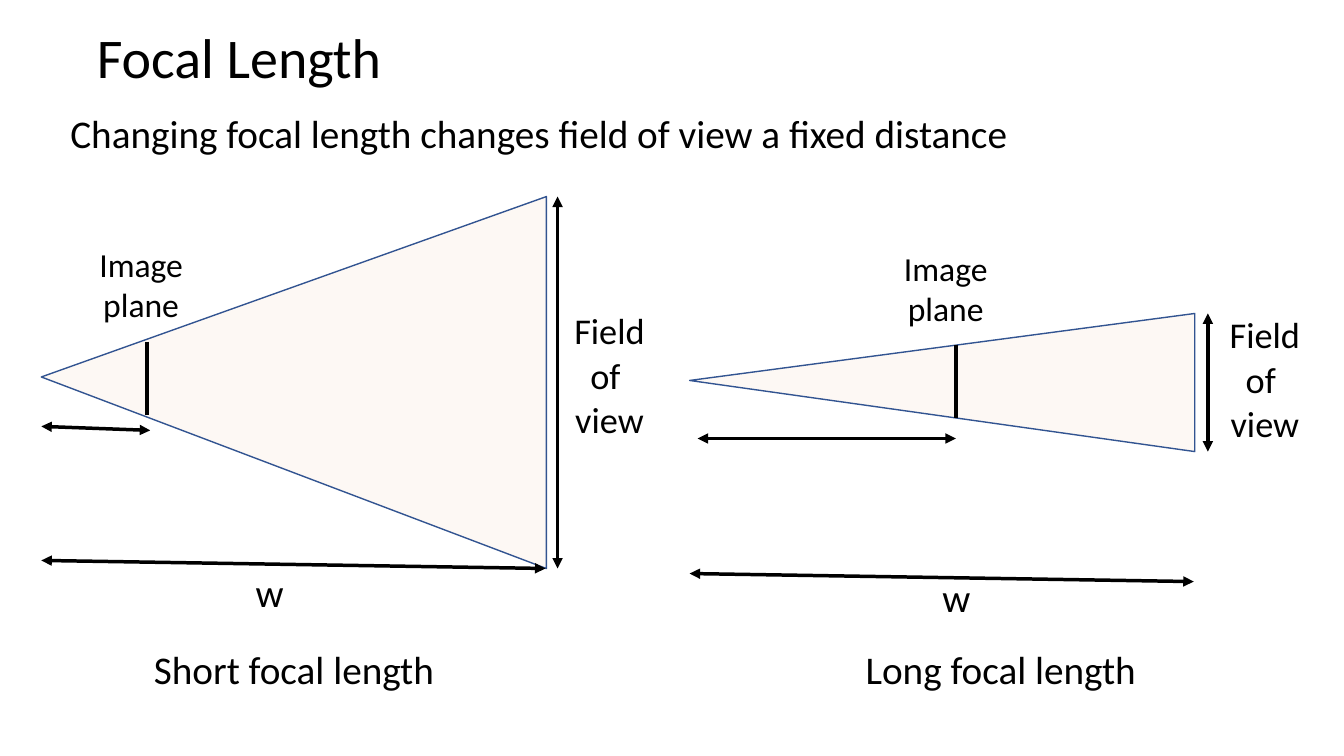
"""Build a slide comparing the field of view of short and long focal lengths."""
from collections import namedtuple

from lxml import etree
from pptx import Presentation
from pptx import util as u
from pptx.dml.color import RGBColor
from pptx.enum import shapes, text
from pptx.oxml import ns

PX = 9144
BLACK = RGBColor(0x00, 0x00, 0x00)
PEACH = RGBColor(0xFB, 0xE5, 0xD6)
BLUE = RGBColor(0x32, 0x54, 0x91)
FONT = "Calibri"
CONE_LENGTH = 501
CONE_MIDDLE = 380
PLANE_HEIGHT = 73

View = namedtuple(
    "View", "caption caption_at left height plane plane_label focal fov_x fov_label distance_y w_label")

VIEWS = [
    View("Short focal length", (77, 641), 41, 369, (146, 339), (86, 237),
         (41, 423, 149, 427), 553, (559, 313), 556, (230, 564)),
    View("Long focal length", (778, 641), 684, 137, (948, 342), (884, 241),
         (692, 435, 948, 435), 1198, (1209, 317), 569, (911, 569)),
]


def px(*lengths):
    """Turn px lengths into EMU."""
    return [u.Emu(length * PX) for length in lengths]


def format_text(frame, size, align, line_spacing, space_before=10):
    """Apply one font and spacing to all paragraphs of a text frame."""
    for index, paragraph in enumerate(frame.paragraphs):
        paragraph.alignment = align
        paragraph.line_spacing = line_spacing
        paragraph.space_before = u.Pt(space_before if index else 0)
        for run in paragraph.runs:
            run.font.name = FONT
            run.font.size = u.Pt(size)
            run.font.color.rgb = BLACK


def add_label(slide, words, at, size, width, height, align=text.PP_ALIGN.CENTER, line_spacing=0.9):
    """Add a wrapped text box."""
    frame = slide.shapes.add_textbox(*px(*at, width, height)).text_frame
    frame.word_wrap = True
    frame.text = words
    format_text(frame, size, align, line_spacing)


def add_line(slide, x1, y1, x2, y2, arrows=True):
    """Add a black line, with arrowheads at both ends if wanted."""
    connector = slide.shapes.add_connector(shapes.MSO_CONNECTOR.STRAIGHT, *px(x1, y1, x2, y2))
    connector.line.color.rgb = BLACK
    connector.line.width = u.Pt(2.5)
    properties = connector._element.spPr
    if arrows:
        outline = connector.line._get_or_add_ln()
        for end in ("a:headEnd", "a:tailEnd"):
            etree.SubElement(outline, ns.qn(end), type="triangle")
    etree.SubElement(properties, ns.qn("a:effectLst"))


def add_cone(slide, left, height):
    """Add a translucent triangle that opens to the right."""
    box_left = left + (CONE_LENGTH - height) // 2
    box_top = CONE_MIDDLE - CONE_LENGTH // 2 - 1
    cone = slide.shapes.add_shape(
        shapes.MSO_SHAPE.ISOSCELES_TRIANGLE, *px(box_left, box_top, height, CONE_LENGTH))
    cone.rotation = 270
    cone.adjustments[0] = 0.515
    cone.shadow.inherit = False
    cone.fill.solid()
    cone.fill.fore_color.rgb = PEACH
    color = cone._element.spPr.find(ns.qn("a:solidFill"))[0]
    etree.SubElement(color, ns.qn("a:alpha"), val="25000")
    cone.line.color.rgb = BLUE
    cone.line.width = u.Pt(1)


def add_view(slide, view):
    """Draw one camera view with its measures and labels."""
    add_cone(slide, view.left, view.height)
    plane_x, plane_y = view.plane
    add_line(slide, plane_x, plane_y, plane_x, plane_y + PLANE_HEIGHT, arrows=False)
    add_line(slide, *view.focal)
    top = CONE_MIDDLE - (view.height + 1) // 2
    add_line(slide, view.fov_x, top, view.fov_x, top + view.height)
    add_line(slide, view.left, view.distance_y, view.left + 500, view.distance_y + 8)
    add_label(slide, "Image plane", view.plane_label, 24, 108, 91, line_spacing=1.0)
    add_label(slide, "Field \nof \nview", view.fov_label, 25.9, 91, 137, line_spacing=0.7)
    add_label(slide, "w", view.w_label, 28, 75, 54)
    add_label(slide, view.caption, view.caption_at, 28, 429, 65)


def add_title(slide, words):
    """Fill and place the title placeholder."""
    title = slide.shapes.title
    title.left, title.top, title.width, title.height = px(86, 12, 1150, 95)
    frame = title.text_frame
    frame.text = words
    frame.auto_size = text.MSO_AUTO_SIZE.NONE
    frame.vertical_anchor = text.MSO_ANCHOR.MIDDLE
    format_text(frame, 40, text.PP_ALIGN.LEFT, 0.9)


def main():
    """Build and save the slide."""
    presentation = Presentation()
    presentation.slide_width, presentation.slide_height = px(1333, 750)
    slide = presentation.slides.add_slide(presentation.slide_layouts[5])
    add_title(slide, "Focal Length")
    add_label(slide, "Changing focal length changes field of view a fixed distance",
              (60, 109), 28, 1088, 65, align=text.PP_ALIGN.LEFT)
    for view in VIEWS:
        add_view(slide, view)
    presentation.save("out.pptx")


if __name__ == "__main__":
    main()
